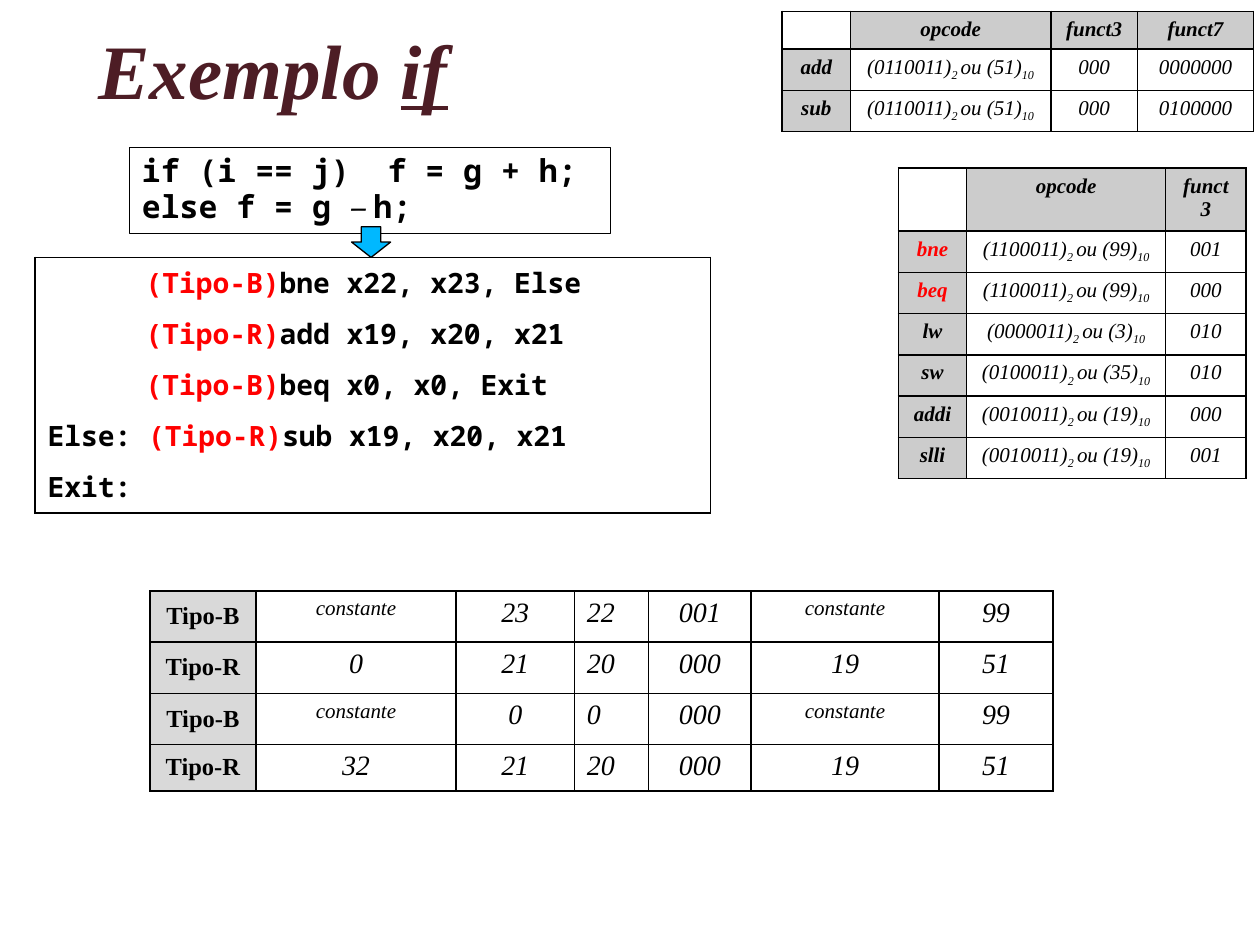
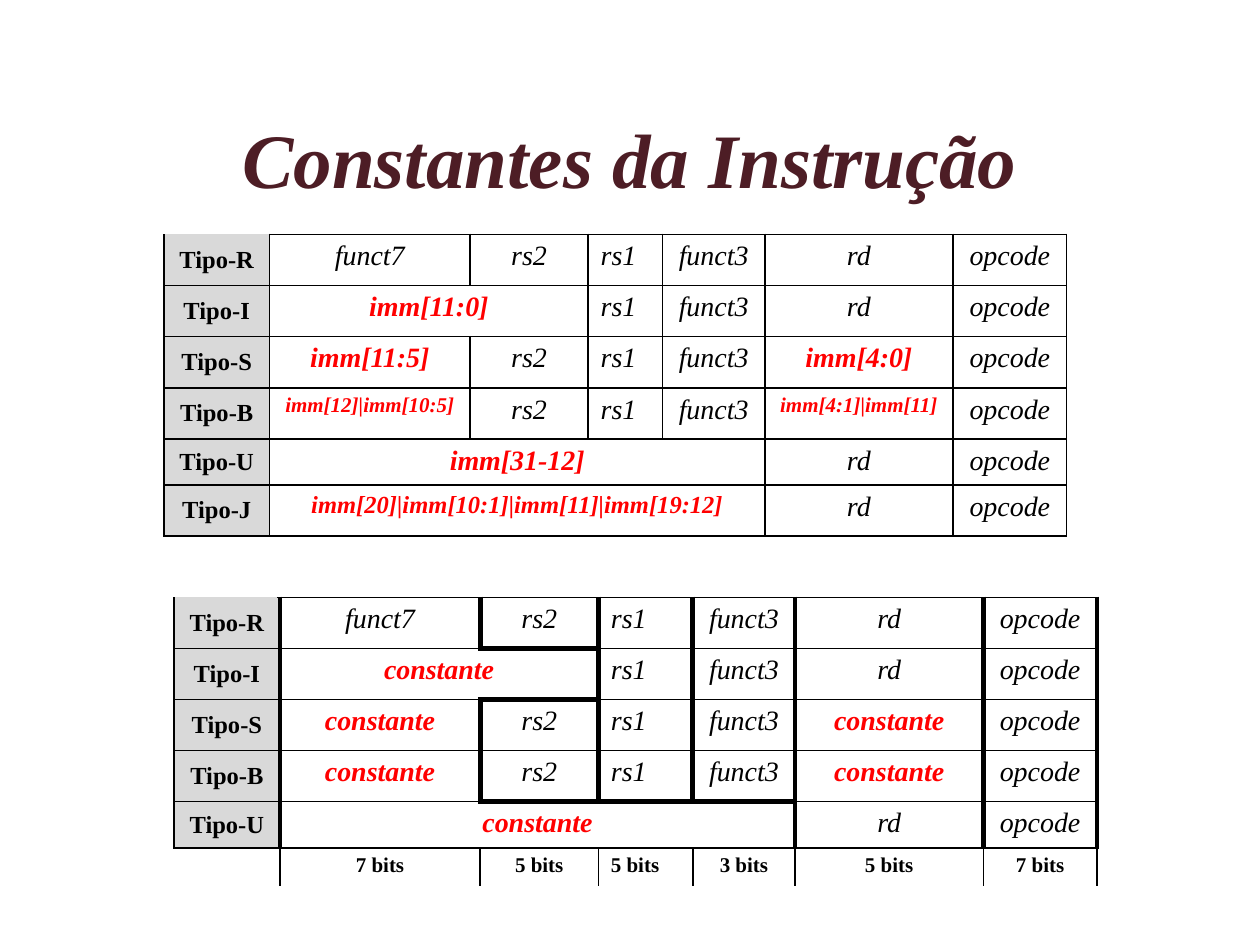
from lxml.etree import SubElement
from pptx import Presentation
from pptx.dml.color import RGBColor
from pptx.enum.shapes import MSO_SHAPE
from pptx.enum.text import MSO_ANCHOR, PP_ALIGN
from pptx.oxml.ns import qn
from pptx.util import Pt

BLACK = RGBColor(0x00, 0x00, 0x00)
RED = RGBColor(0xFF, 0x00, 0x00)
WINE = RGBColor(0x4D, 0x1D, 0x25)
BLUE = RGBColor(0x00, 0xB8, 0xFF)
GREY = RGBColor(0xCC, 0xCC, 0xCC)
PALE = RGBColor(0xD9, 0xD9, 0xD9)

SERIF, MONO = "Times New Roman", "Noto Sans Mono"
NO_STYLE = "{2D5ABB26-0587-4C30-8999-92F81FD0307C}"

TITLE = dict(name=SERIF, size=44, bold=True, italic=True, color=WINE)
HEAD = dict(name=SERIF, size=12, bold=True, italic=True, color=BLACK)
BODY = HEAD | dict(bold=False)
FIELD = BODY | dict(size=16)
LABEL = dict(name=SERIF, size=14, bold=True, italic=False, color=BLACK)
BITS = LABEL | dict(size=12)
CODE = dict(name=MONO, size=16, bold=True, italic=False, color=BLACK)
SOURCE = CODE | dict(size=18)
SUB = dict(base=-25000)
SMALL = dict(size=12)
HOT = dict(color=RED)
IMM = dict(color=RED, bold=True)


def opcode(bits):
    """Runs showing a binary opcode and its decimal value."""
    return [(f"({bits})", {}), ("2 ", SUB),
            (f"ou ({int(bits, 2)})", {}), ("10", SUB)]


def imm(text, size=16):
    return [(text, IMM | dict(size=size))]


# Content. A cell is a text or a list of runs; None joins the cell to its left.
SOURCE_LINES = [
    "if (i == j)  f = g + h;",
    [("else f = g ", {}), ("− ", dict(name="Vollkorn")), ("h;", {})],
]
LISTING = [
    ("", "(Tipo-B)", "bne x22, x23, Else"),
    ("", "(Tipo-R)", "add x19, x20, x21"),
    ("", "(Tipo-B)", "beq x0, x0, Exit"),
    ("Else: ", "(Tipo-R)", "sub x19, x20, x21"),
    ("Exit:", "", ""),
]
ARITH = [
    ("", "opcode", "funct3", "funct7"),
    ("add", opcode("0110011"), "000", "0000000"),
    ("sub", opcode("0110011"), "000", "0100000"),
]
OTHERS = [
    ("", "opcode", "funct3"),
    ([("bne", HOT)], opcode("1100011"), "001"),
    ([("beq", HOT)], opcode("1100011"), "000"),
    ("lw", opcode("0000011"), "010"),
    ("sw", opcode("0100011"), "010"),
    ("addi", opcode("0010011"), "000"),
    ("slli", opcode("0010011"), "001"),
]
NOTE = [("constante", SMALL)]
ENCODED = [
    ("Tipo-B", NOTE, "23", "22", "001", NOTE, "99"),
    ("Tipo-R", "0", "21", "20", "000", "19", "51"),
    ("Tipo-B", NOTE, "0", "0", "000", NOTE, "99"),
    ("Tipo-R", "32", "21", "20", "000", "19", "51"),
]
REGS = ("rs2", "rs1", "funct3")
TAIL = ("rd", "opcode")
TYPE_R = ("Tipo-R", "funct7", *REGS, *TAIL)
FORMATS = [
    TYPE_R,
    ("Tipo-I", imm("imm[11:0]"), None, *REGS[1:], *TAIL),
    ("Tipo-S", imm("imm[11:5]"), *REGS, imm("imm[4:0]"), "opcode"),
    ("Tipo-B", imm("imm[12]|imm[10:5]", 12), *REGS,
     imm("imm[4:1]|imm[11]", 12), "opcode"),
    ("Tipo-U", imm("imm[31-12]"), None, None, None, *TAIL),
    ("Tipo-J", imm("imm[20]|imm[10:1]|imm[11]|imm[19:12]", 14),
     None, None, None, *TAIL),
]
CONST = imm("constante")
WIDTHS = [
    TYPE_R,
    ("Tipo-I", CONST, None, *REGS[1:], *TAIL),
    ("Tipo-S", CONST, *REGS, CONST, "opcode"),
    ("Tipo-B", CONST, *REGS, CONST, "opcode"),
    ("Tipo-U", CONST, None, None, None, *TAIL),
    ("", *(f"{n} bits" for n in (7, 5, 5, 3, 5, 7))),
]
FIELD_COLS = [60.5, 114.5, 67.5, 42.5, 58.5, 107.5, 65]
WIDE_COLS = FIELD_COLS[:3] + [54] + FIELD_COLS[4:]
THICK = {(1, 2), (2, 2), (4, 2), (4, 3), (4, 4)}  # cells with a thick top


def write(par, item, base):
    runs = [(item, {})] if isinstance(item, str) else item
    for text, extra in runs:
        if not text:
            continue
        run, look = par.add_run(), base | extra
        run.text = text
        run.font.color.rgb = look["color"]
        run.font.size = Pt(look["size"])
        for key in ("name", "bold", "italic", "underline"):
            if key in look:
                setattr(run.font, key, look[key])
        if "base" in look:
            run.font._element.set("baseline", str(look["base"]))
    if not par.runs:
        SubElement(par._p, qn("a:endParaRPr"), sz=str(base["size"] * 100))


def border(cell, widths):
    """Draw the left, right, top and bottom lines that have a width."""
    props = cell._tc.get_or_add_tcPr()
    for side, width in zip("LRTB", widths):
        if width:
            line = SubElement(props, qn(f"a:ln{side}"), w=str(Pt(width)))
            fill = SubElement(line, qn("a:solidFill"))
            SubElement(fill, qn("a:srgbClr"), val=str(BLACK))


def always(row, col):
    return 1


def grid(slide, left, top, cols, heights, rows, look, shade,
         across=always, down=always):
    """across gives the line above a cell, down the line at its left."""
    frame = slide.shapes.add_table(len(rows), len(cols), Pt(left), Pt(top),
                                   Pt(sum(cols)), Pt(sum(heights)))
    table = frame.table
    table.first_row = table.horz_banding = False
    table._tbl.tblPr.find(qn("a:tableStyleId")).text = NO_STYLE
    for col, width in zip(table.columns, cols):
        col.width = Pt(width)
    for row, height in zip(table.rows, heights):
        row.height = Pt(height)
    for r, items in enumerate(rows):
        for c, item in enumerate(items):
            cell = table.cell(r, c)
            border(cell, (down(r, c), down(r, c + 1),
                          across(r, c), across(r + 1, c)))
            color = shade(r, c)
            if color:
                cell.fill.solid()
                cell.fill.fore_color.rgb = color
            else:
                cell.fill.background()
            par = cell.text_frame.paragraphs[0]
            par.alignment = PP_ALIGN.CENTER
            write(par, item or "", look(r, c))
        for c in range(len(items)):
            if items[c] is not None:
                end = c
                while end + 1 < len(items) and items[end + 1] is None:
                    end += 1
                if end > c:
                    table.cell(r, c).merge(table.cell(r, end))
    return table


def codes(slide, left, top, cols, heights, rows):
    """Table with a grey heading row and column."""
    grid(slide, left, top, cols, heights, rows,
         lambda r, c: BODY if r and c else HEAD,
         lambda r, c: GREY if (r == 0) != (c == 0) else None)


def fields(slide, left, top, cols, heights, rows, **lines):
    """Table of instruction fields, one instruction type a row."""
    def look(r, c):
        if not rows[r][0]:
            return BITS
        return FIELD if c else LABEL

    table = grid(slide, left, top, cols, heights, rows, look,
                 lambda r, c: PALE if c == 0 and rows[r][0] else None, **lines)
    for r in range(len(rows)):
        table.cell(r, 0).vertical_anchor = MSO_ANCHOR.MIDDLE
        table.cell(r, 3).text_frame.paragraphs[0].alignment = PP_ALIGN.LEFT


def listing(slide, left, top):
    rows = [([(label, {}), (kind, HOT), (text, {})],)
            for label, kind, text in LISTING]
    table = grid(slide, left, top, [386], [29.25] * 5, rows,
                 lambda r, c: CODE, lambda r, c: None,
                 across=lambda r, c: r in (0, len(rows)))
    for r, (label, *_) in enumerate(LISTING):
        par = table.cell(r, 0).text_frame.paragraphs[0]
        par.alignment = PP_ALIGN.LEFT
        if not label:
            props = par._p.get_or_add_pPr()
            props.set("marL", str(Pt(56)))
            props.set("indent", "0")


def title(slide, box, item, spacing):
    frame = slide.shapes.add_textbox(*map(Pt, box)).text_frame
    frame.word_wrap = True
    frame.vertical_anchor = MSO_ANCHOR.MIDDLE
    par = frame.paragraphs[0]
    par.alignment, par.line_spacing = PP_ALIGN.CENTER, spacing
    write(par, item, TITLE)


def outline(slide, kind, *box, fill=None):
    shape = slide.shapes.add_shape(kind, *map(Pt, box))
    shape.shadow.inherit = False
    shape.line.color.rgb, shape.line.width = BLACK, Pt(0.75)
    if fill:
        shape.fill.solid()
        shape.fill.fore_color.rgb = fill
    else:
        shape.fill.background()
    return shape


def example(slide):
    listing(slide, 20, 147)
    title(slide, (3.6, 13.7, 305, 56),
          [("Exemplo ", {}), ("if", dict(underline=True))], 0.95)
    codes(slide, 447, 6.5, [39, 114.5, 49.5, 66.5], [20.5, 22.3, 22.3], ARITH)
    frame = outline(slide, MSO_SHAPE.RECTANGLE, 74, 84.3, 275, 49).text_frame
    frame.word_wrap = True
    frame.vertical_anchor = MSO_ANCHOR.TOP
    for n, line in enumerate(SOURCE_LINES):
        par = frame.add_paragraph() if n else frame.paragraphs[0]
        par.alignment, par.line_spacing = PP_ALIGN.LEFT, 0.95
        write(par, line, SOURCE)
    outline(slide, MSO_SHAPE.DOWN_ARROW, 200.9, 129.6, 22.3, 17.5, fill=BLUE)
    codes(slide, 513.4, 96, [39, 113.75, 46], [36] + [23.6] * 6, OTHERS)
    fields(slide, 85.7, 337.7, FIELD_COLS, [29.25] * 3 + [26.6], ENCODED)


def constants(slide):
    def across(r, c):
        if (r, c) == (0, 0) or r == len(WIDTHS):
            return 0
        return 3 if (r, c) in THICK else 1

    def down(r, c):
        if r == len(WIDTHS) - 1:
            return int(c > 0)
        return 3 if c else 1

    title(slide, (54, 36.7, 612, 113), "Constantes da Instrução", 0.9)
    fields(slide, 93.6, 134, FIELD_COLS, [29.2] * 4 + [25.1, 29.2], FORMATS,
           across=lambda r, c: (r, c) != (0, 0))
    fields(slide, 99.4, 341.3, WIDE_COLS, [29.2] * 4 + [25.1, 22], WIDTHS,
           across=across, down=down)


def main():
    deck = Presentation()
    deck.slide_width, deck.slide_height = Pt(720), Pt(540)
    for build in (example, constants):
        build(deck.slides.add_slide(deck.slide_layouts[6]))
    deck.save("out.pptx")


if __name__ == "__main__":
    main()
